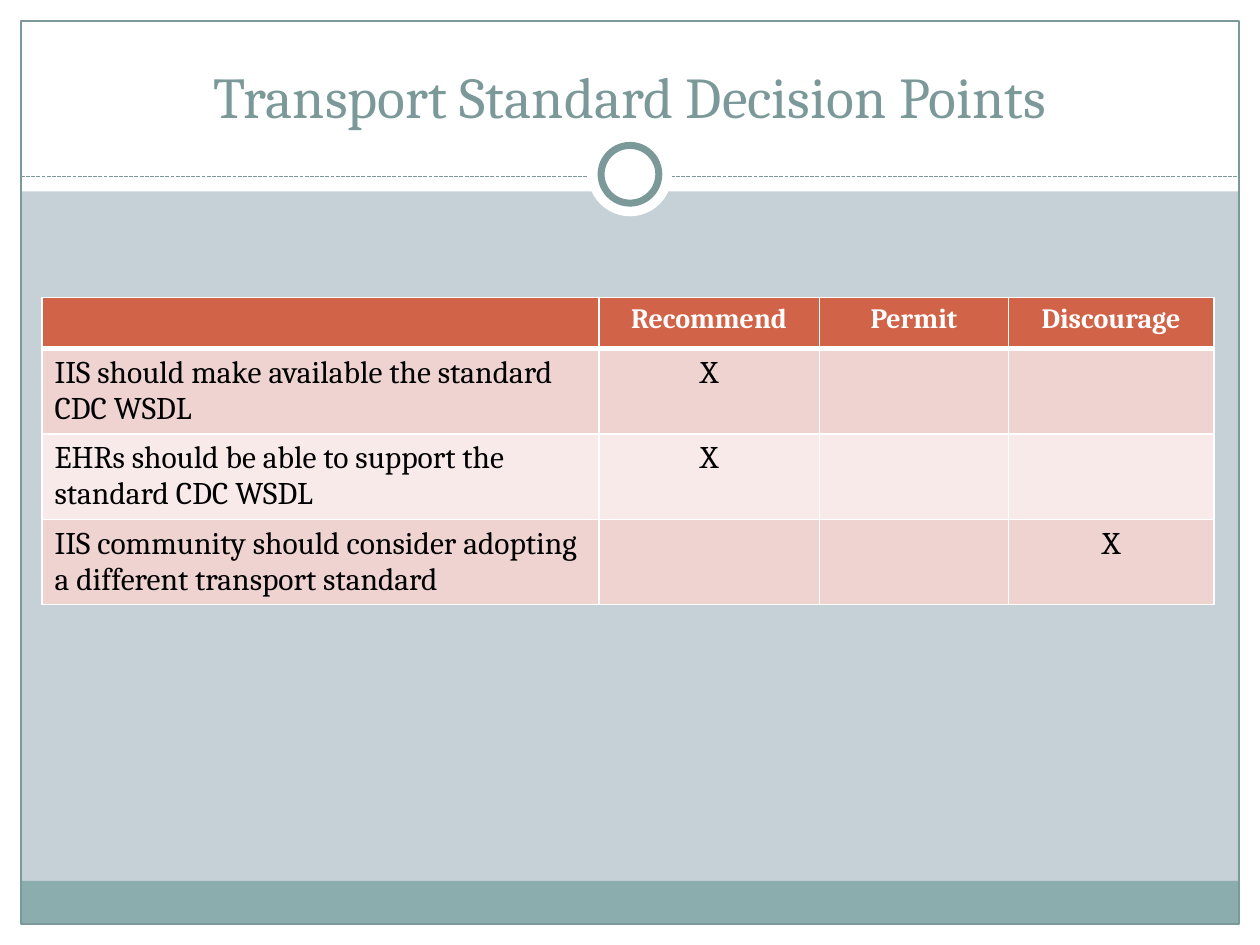
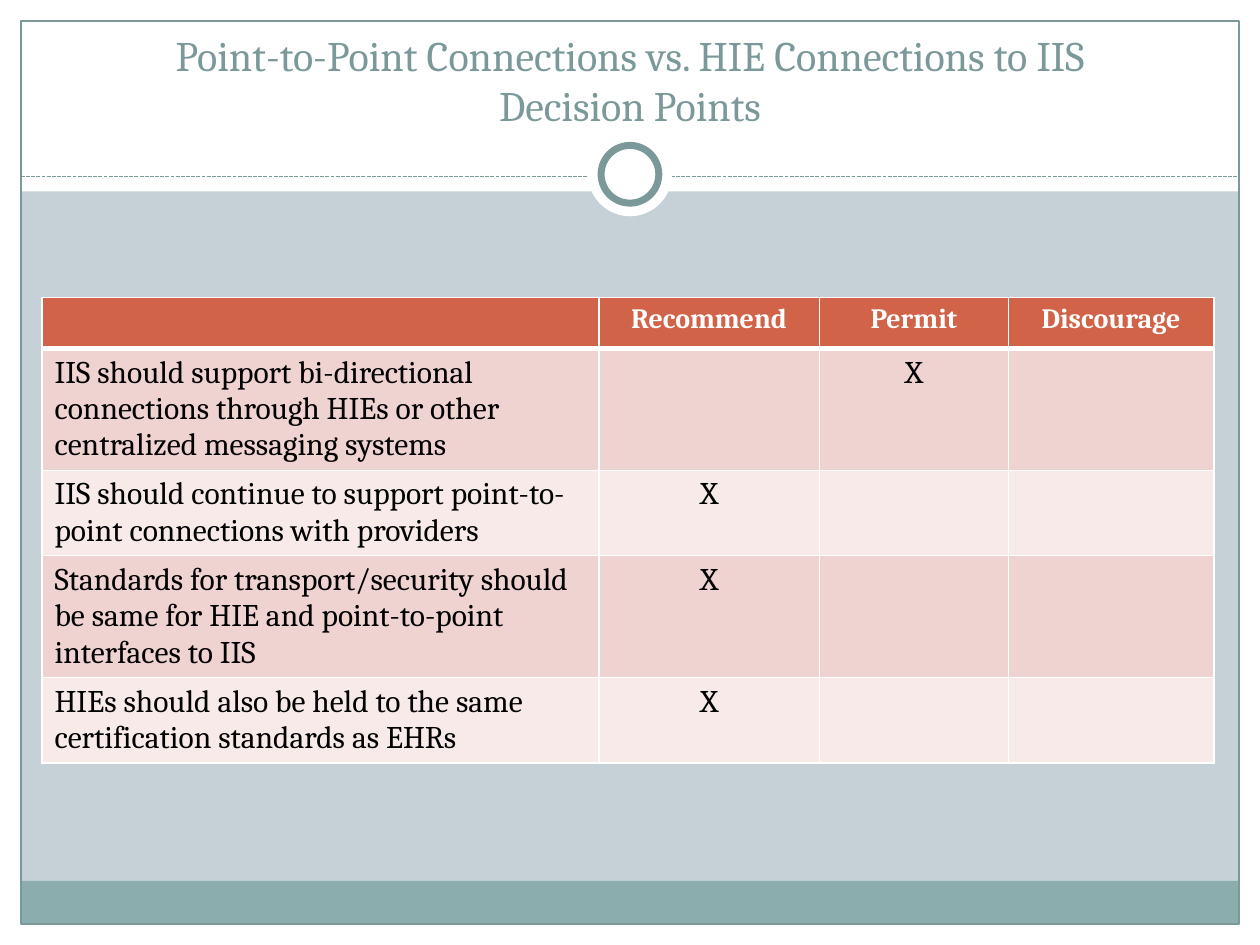
from lxml.etree import SubElement
from pptx import Presentation
from pptx.dml.color import RGBColor
from pptx.enum.dml import MSO_LINE
from pptx.enum.shapes import MSO_CONNECTOR, MSO_SHAPE
from pptx.enum.text import MSO_ANCHOR, MSO_AUTO_SIZE, PP_ALIGN
from pptx.oxml.ns import qn
from pptx.util import Pt

COLORS = {
    "background": "C5D1D7",
    "white": "FFFFFF",
    "black": "000000",
    "footer": "8CADAE",
    "accent": "7C999A",
    "header": "D16349",
    "odd": "EED3D0",
    "even": "F7EAE9",
}
FONT = "Cambria"
WIDTH, HEIGHT = 720, 540
MARGIN = 12
TITLE_BOX = (24, 18, 672, 60)
TABLE_BOX = (24, 170, 669.6, 29.2)
COLUMN_WIDTHS = (318.2, 126, 108, 117.4)
RATINGS = ("Recommend", "Permit", "Discourage")

DECISIONS = [
    ("Transport Standard Decision Points", 33, [
        ("IIS should make available the standard CDC WSDL", "Recommend"),
        ("EHRs should be able to support the standard CDC WSDL", "Recommend"),
        ("IIS community should consider adopting a different transport standard",
         "Discourage"),
    ]),
    ("Point-to-Point Connections vs. HIE Connections to IIS\vDecision Points", 24, [
        ("IIS should support bi-directional connections through HIEs or other "
         "centralized messaging systems", "Permit"),
        ("IIS should continue to support point-to-point connections with providers",
         "Recommend"),
        ("Standards for transport/security should be same for HIE and "
         "point-to-point interfaces to IIS", "Recommend"),
        ("HIEs should also be held to the same certification standards as EHRs",
         "Recommend"),
    ]),
]


def color(key):
    return RGBColor.from_string(COLORS[key])


def style_font(paragraph, size, key, bold=False):
    font = paragraph.font
    font.name, font.size, font.bold = FONT, Pt(size), bold
    font.color.rgb = color(key)


def add_figure(slide, preset, box, fill=None, line_width=0):
    figure = slide.shapes.add_shape(preset, *map(Pt, box))
    figure.shadow.inherit = False
    if fill:
        figure.fill.solid()
        figure.fill.fore_color.rgb = color(fill)
    else:
        figure.fill.background()
    if line_width:
        figure.line.width = Pt(line_width)
        figure.line.color.rgb = color("accent")
    else:
        figure.line.fill.background()
    return figure


def add_bands(slide, box):
    left, top, width, height = box
    right, bottom = left + width, top + height
    bands = [
        ((0, bottom, WIDTH, HEIGHT - bottom), "white"),
        ((0, 0, WIDTH, 109.4), "white"),
        ((0, 0, left, HEIGHT), "white"),
        ((right, 0, WIDTH - right, HEIGHT), "white"),
        ((left, bottom - 24.6, width, 24.6), "footer"),
    ]
    figures = [add_figure(slide, MSO_SHAPE.RECTANGLE, band, fill)
               for band, fill in bands]
    return figures + [add_figure(slide, MSO_SHAPE.RECTANGLE, box, line_width=0.75)]


def add_divider(slide, left, right, y):
    rule = slide.shapes.add_connector(
        MSO_CONNECTOR.STRAIGHT, Pt(left), Pt(y), Pt(right), Pt(y))
    rule.line.width = Pt(0.75)
    rule.line.color.rgb = color("accent")
    rule.line.dash_style = MSO_LINE.SQUARE_DOT
    rule_properties = rule.element.find(qn("p:spPr"))
    SubElement(rule_properties, qn("a:effectLst"))
    center_x, center_y = (left + right) / 2, y - 1.2
    rings = [
        add_figure(slide, MSO_SHAPE.OVAL,
                   (center_x - size / 2, center_y - size / 2, size, size),
                   "white", line_width)
        for size, line_width in ((48, 0), (33, 4))
    ]
    return [rule] + rings


def dress_layout(layout, slide):
    layout.background.fill.solid()
    layout.background.fill.fore_color.rgb = color("background")
    for placeholder in list(layout.placeholders)[1:]:
        layout.shapes.element.remove(placeholder.element)
    frame = (MARGIN, MARGIN, WIDTH - 2 * MARGIN, HEIGHT - 2 * MARGIN)
    decor = add_bands(slide, frame)
    decor += add_divider(slide, MARGIN, WIDTH - MARGIN, 100.8)
    for part in decor:
        layout.shapes.element.append(part.element)


def place_title(slide, box, text, size):
    title = slide.shapes.title
    title.left, title.top, title.width, title.height = map(Pt, box)
    frame = title.text_frame
    frame.text = text
    frame.word_wrap = True
    frame.auto_size = MSO_AUTO_SIZE.NONE
    frame.vertical_anchor = MSO_ANCHOR.BOTTOM
    paragraph = frame.paragraphs[0]
    paragraph.alignment = PP_ALIGN.CENTER
    style_font(paragraph, size, "accent")


def add_borders(cell, top, bottom):
    properties = cell._tc.get_or_add_tcPr()
    for side, width in (("L", 1), ("R", 1), ("T", top), ("B", bottom)):
        border = SubElement(properties, qn("a:ln" + side), w=str(Pt(width)))
        fill = SubElement(border, qn("a:solidFill"))
        SubElement(fill, qn("a:srgbClr"), val=COLORS["white"])


def fill_cell(cell, text, row, column):
    is_header = row == 0
    add_borders(cell, top=3 if row == 1 else 1, bottom=3 if is_header else 1)
    cell.fill.solid()
    cell.fill.fore_color.rgb = color(
        "header" if is_header else "odd" if row % 2 else "even")
    cell.text = text
    paragraph = cell.text_frame.paragraphs[0]
    paragraph.alignment = PP_ALIGN.CENTER if column else PP_ALIGN.LEFT
    if is_header:
        style_font(paragraph, 16, "white", bold=True)
    else:
        style_font(paragraph, 18, "black")


def add_decision_table(slide, box, decisions):
    left, top, width, row_height = box
    rows = [("", *RATINGS)]
    for statement, choice in decisions:
        rows.append((statement, *("X" if rating == choice else ""
                                  for rating in RATINGS)))
    table = slide.shapes.add_table(
        len(rows), len(COLUMN_WIDTHS), Pt(left), Pt(top), Pt(width),
        Pt(row_height * len(rows))).table
    table.horz_banding = False
    for column, column_width in zip(table.columns, COLUMN_WIDTHS):
        column.width = Pt(column_width)
    for row, texts in enumerate(rows):
        for column, text in enumerate(texts):
            fill_cell(table.cell(row, column), text, row, column)


def main():
    deck = Presentation()
    deck.slide_width, deck.slide_height = Pt(WIDTH), Pt(HEIGHT)
    layout = deck.slide_layouts.get_by_name("Title Only")
    for number, (heading, size, decisions) in enumerate(DECISIONS):
        slide = deck.slides.add_slide(layout)
        if number == 0:
            dress_layout(layout, slide)
        place_title(slide, TITLE_BOX, heading, size)
        add_decision_table(slide, TABLE_BOX, decisions)
    deck.save("out.pptx")


main()
